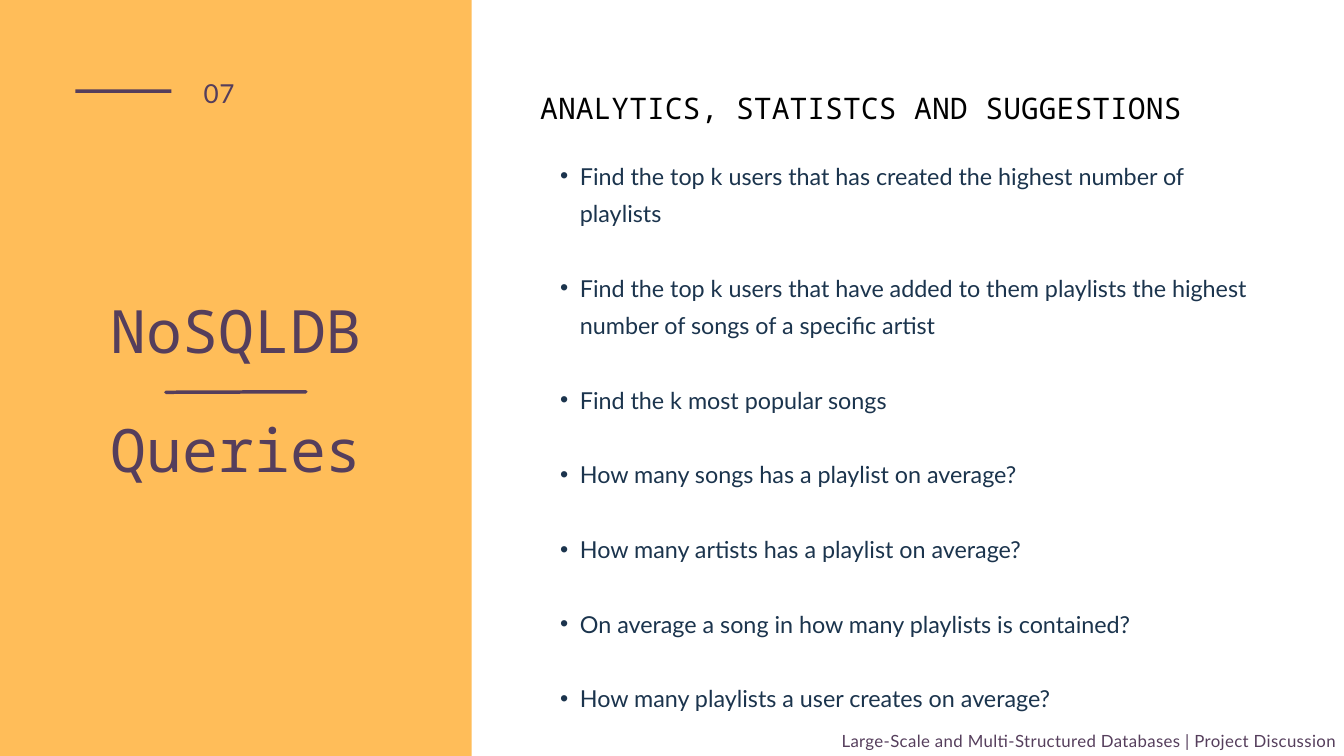
from lxml import etree
from pptx import Presentation
from pptx.dml.color import RGBColor
from pptx.enum.shapes import MSO_CONNECTOR, MSO_SHAPE
from pptx.enum.text import PP_ALIGN
from pptx.oxml.ns import qn
from pptx.util import Cm, Pt

LEFT, CENTER, RIGHT = PP_ALIGN.LEFT, PP_ALIGN.CENTER, PP_ALIGN.RIGHT
RECTANGLE, STRAIGHT = MSO_SHAPE.RECTANGLE, MSO_CONNECTOR.STRAIGHT

ORANGE = RGBColor(0xFF, 0xBD, 0x59)
PURPLE = RGBColor(0x55, 0x3E, 0x5C)
NAVY = RGBColor(0x1B, 0x34, 0x4D)
BLACK = RGBColor(0, 0, 0)

BODY_FONT = "Lato"
MONO_FONT = "Noto Sans Mono"

SLIDE_WIDTH, SLIDE_HEIGHT = 50.8, 28.58
PANEL_WIDTH = 17.83

TITLE_LINES = ["NoSQLDB", "Queries"]
HEADING = "ANALYTICS, STATISTCS AND SUGGESTIONS"
QUERIES = [
    "Find the top k users that has created the highest number of playlists",
    "Find the top k users that have added to them playlists the highest "
    "number of songs of a specific artist",
    "Find the k most popular songs",
    "How many songs has a playlist on average?",
    "How many artists has a playlist on average?",
    "On average a song in how many playlists is contained?",
    "How many playlists a user creates on average?",
]
FOOTER = "Large-Scale and Multi-Structured Databases | Project Discussion"


def add_rectangle(slide, left, top, width, height, color):
    shape = slide.shapes.add_shape(
        RECTANGLE, Cm(left), Cm(top), Cm(width), Cm(height))
    shape.shadow.inherit = False
    shape.fill.solid()
    shape.fill.fore_color.rgb = color
    shape.line.fill.background()


def add_text(slide, left, top, width, height, lines, font, size, color,
             line_spacing, align=LEFT, gap=0, tracking=0):
    """Add one paragraph per line; gap (points) separates the paragraphs."""
    box = slide.shapes.add_textbox(Cm(left), Cm(top), Cm(width), Cm(height))
    frame = box.text_frame
    frame.word_wrap = True
    frame.margin_left = frame.margin_right = 0
    frame.margin_top = frame.margin_bottom = 0
    frame.text = "\n".join(lines)
    for index, paragraph in enumerate(frame.paragraphs):
        paragraph.alignment = align
        paragraph.line_spacing = Pt(line_spacing)
        paragraph.space_before = Pt(gap if index else 0)
        run = paragraph.runs[0]
        run.font.name = font
        run.font.size = Pt(size)
        run.font.color.rgb = color
        if tracking:
            run.font._element.set("spc", str(round(tracking * 100)))
    return frame


def add_bullet(paragraph, indent, hanging):
    properties = paragraph._p.get_or_add_pPr()
    properties.set("marL", str(Cm(indent)))
    properties.set("indent", str(-Cm(hanging)))
    etree.SubElement(properties, qn("a:buFont")).set("typeface", "Arial")
    etree.SubElement(properties, qn("a:buChar")).set("char", "•")


def add_rule(slide, left, top, right, bottom):
    line = slide.shapes.add_connector(
        STRAIGHT, Cm(left), Cm(top), Cm(right), Cm(bottom))
    line.line.color.rgb = PURPLE
    line.line.width = Pt(3.75)
    line.line._get_or_add_ln().set("cap", "rnd")
    etree.SubElement(line._element.spPr, qn("a:effectLst"))


def add_title_panel(slide, left, top, width, height):
    add_rectangle(slide, left, top, width, height, ORANGE)
    add_rectangle(slide, left + 2.85, top + 3.38, 3.63, 0.13, PURPLE)
    add_text(slide, left + 7.7, top + 2.74, 4.4, 1.3, ["07"],
             BODY_FONT, 28, PURPLE, 39.2, tracking=0.6)
    add_text(slide, left + 0.56, top + 11.56, width - 1.09, 6.83, TITLE_LINES,
             MONO_FONT, 64, PURPLE, 64, CENTER, gap=64)
    add_rule(slide, left + 6.27, top + 14.83, left + 11.56, top + 14.81)


def add_query_list(slide, left, top, width):
    add_text(slide, left, top, width, 1.37, [HEADING],
             MONO_FONT, 31.8, BLACK, 41.3)
    frame = add_text(slide, left, top + 2.49, width, 21.17, QUERIES,
                     BODY_FONT, 25, NAVY, 40, gap=40)
    for paragraph in frame.paragraphs:
        add_bullet(paragraph, 1.5, 0.75)


def add_footer(slide, right, top, width):
    add_text(slide, right - width, top, width, 0.84, [FOOTER],
             BODY_FONT, 18, PURPLE, 25.2, RIGHT, tracking=0.4)


def main():
    presentation = Presentation()
    presentation.slide_width = Cm(SLIDE_WIDTH)
    presentation.slide_height = Cm(SLIDE_HEIGHT)
    slide = presentation.slides.add_slide(presentation.slide_layouts[6])
    add_title_panel(slide, 0, 0, PANEL_WIDTH, SLIDE_HEIGHT)
    add_query_list(slide, 20.42, 3.28, 27.51)
    add_footer(slide, SLIDE_WIDTH - 0.28, 27.48, 18.82)
    presentation.save("out.pptx")


if __name__ == "__main__":
    main()
